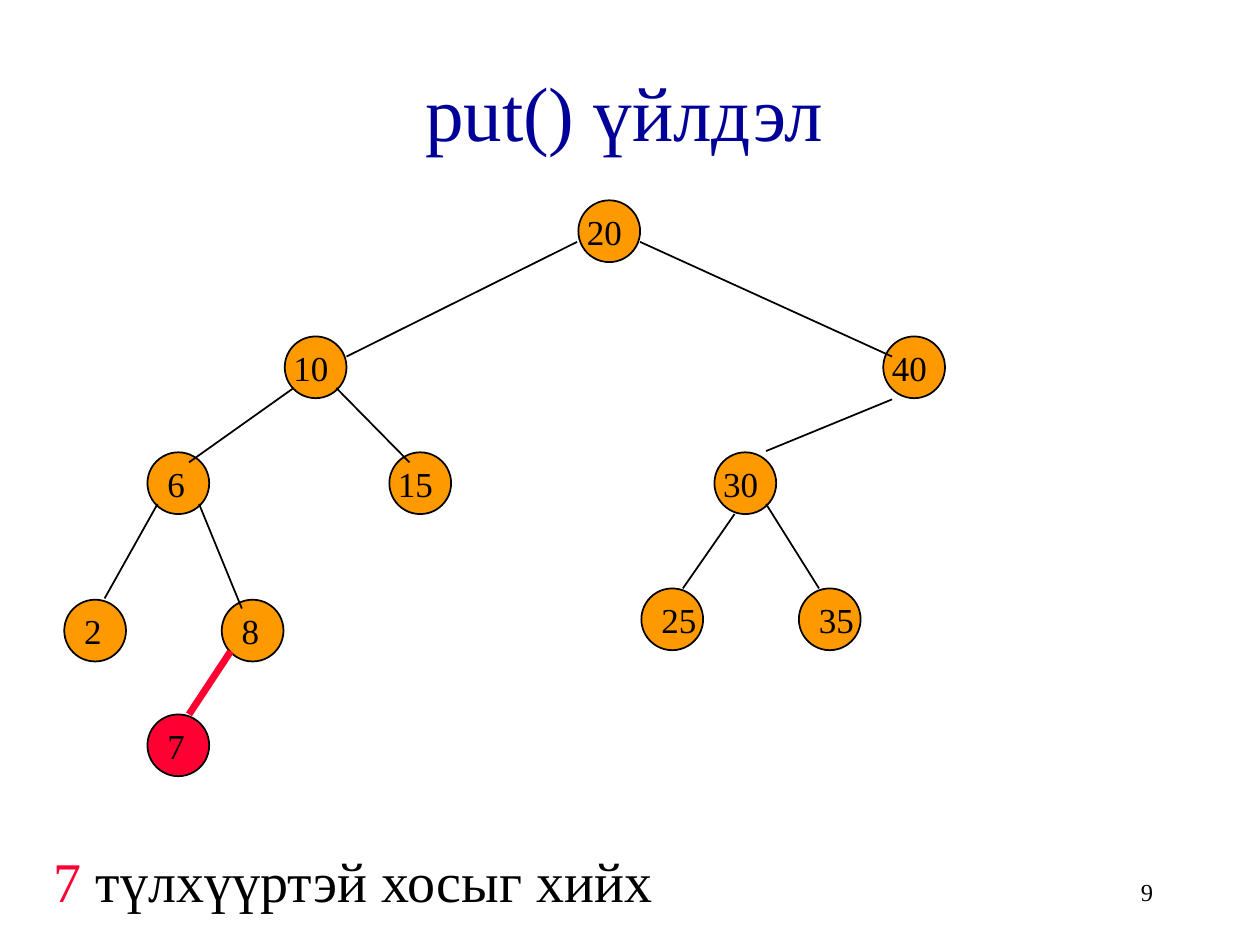
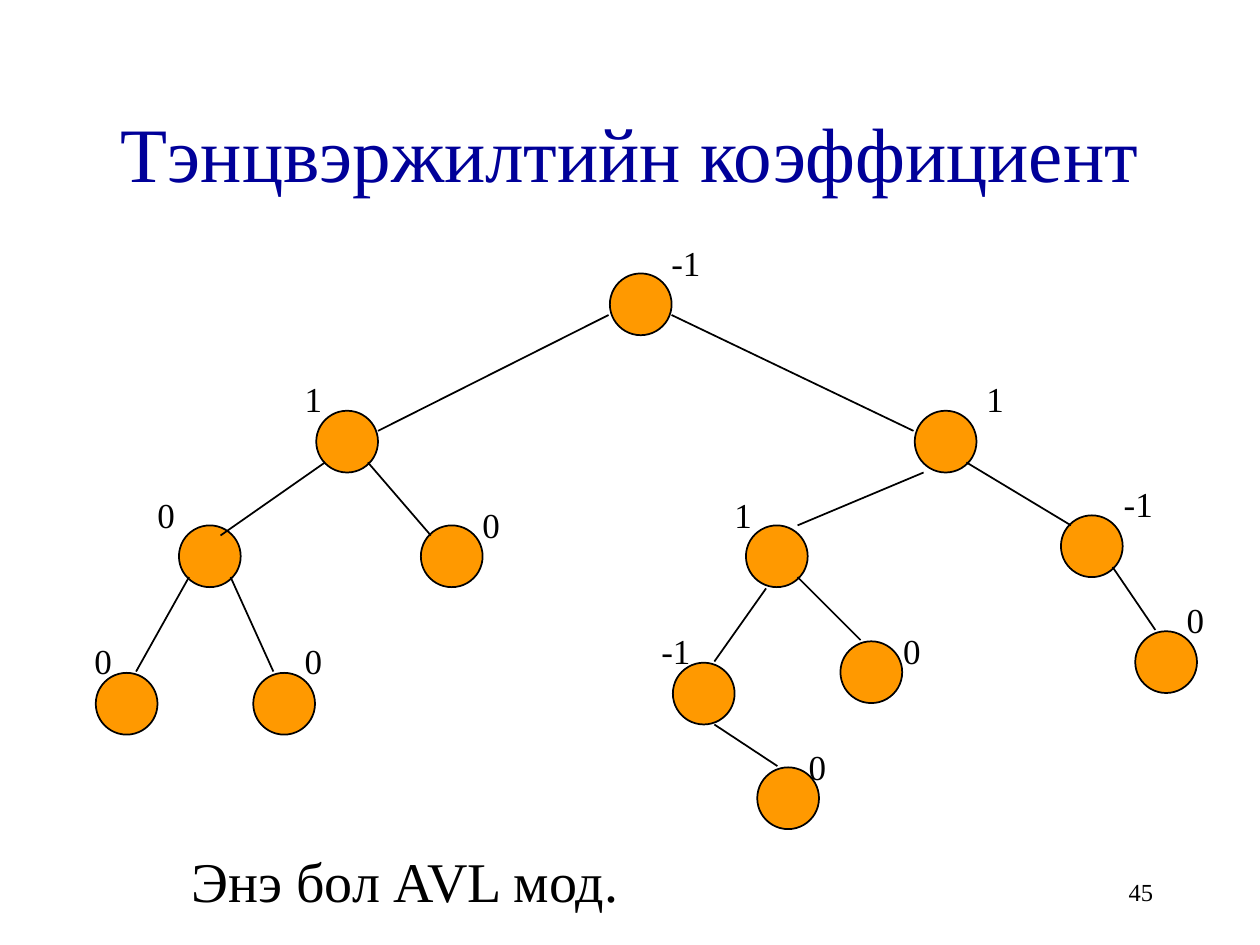
from lxml import etree
from pptx import Presentation
from pptx import util as u
from pptx.dml.color import RGBColor
from pptx.enum import shapes, text
from pptx.oxml.ns import qn

COLORS = {
    "title": "000099",
    "ink": "000000",
    "node": "FF9900",
    "new": "FF0033",
}
FONT = "Times New Roman"
NODE_SIZE = 0.49
LABEL_HEIGHT = 0.43
DIGIT_WIDTH, MINUS_WIDTH, LABEL_PADDING = 0.14, 0.09, 0.2


def rgb(name):
    return RGBColor.from_string(COLORS[name])


def write(frame, spans, size=20, align=text.PP_ALIGN.LEFT,
          anchor=text.MSO_ANCHOR.TOP, wrap=True):
    """Fill a text frame with one paragraph of (text, colour) spans."""
    frame.word_wrap = wrap
    frame.vertical_anchor = anchor
    para = frame.paragraphs[0]
    para.alignment = align
    for content, color in spans:
        span = para.add_run()
        span.text = content
        span.font.name = FONT
        span.font.size = u.Pt(size)
        span.font.color.rgb = rgb(color)


class TreeDeck:
    """Holds the deck, its style and the current page."""

    def __init__(self):
        self.deck = Presentation()
        self.deck.slide_width = u.Inches(10)
        self.deck.slide_height = u.Inches(7.5)
        self.page = None

    def add_page(self, number):
        self.page = self.deck.slides.add_slide(self.deck.slide_layouts[6])
        self.text_box(7.17, 6.83, 2.08, 0.5, [(number, "ink")], size=14,
                      align=text.PP_ALIGN.RIGHT,
                      anchor=text.MSO_ANCHOR.MIDDLE)

    def text_box(self, left, top, width, height, spans, **style):
        box = self.page.shapes.add_textbox(
            *map(u.Inches, (left, top, width, height)))
        write(box.text_frame, spans, **style)

    def title(self, left, top, width, content):
        self.text_box(left, top, width, 1.25, [(content, "title")], size=44,
                      align=text.PP_ALIGN.CENTER,
                      anchor=text.MSO_ANCHOR.MIDDLE)

    def caption(self, left, width, spans):
        self.text_box(left, 6.67, width, 0.63, spans, size=32)

    def node(self, left, top, color="node"):
        circle = self.page.shapes.add_shape(
            shapes.MSO_SHAPE.OVAL,
            *map(u.Inches, (left, top, NODE_SIZE, NODE_SIZE)))
        circle.shadow.inherit = False
        circle.fill.solid()
        circle.fill.fore_color.rgb = rgb(color)
        circle.line.color.rgb = rgb("ink")
        circle.line.width = u.Pt(1)

    def edge(self, x1, y1, x2, y2, color="ink", weight=1):
        line = self.page.shapes.add_connector(
            shapes.MSO_CONNECTOR.STRAIGHT,
            *map(u.Inches, (x1, y1, x2, y2)))
        line.line.color.rgb = rgb(color)
        line.line.width = u.Pt(weight)
        etree.SubElement(line._element.spPr, qn("a:effectLst"))

    def label(self, left, top, content):
        width = LABEL_PADDING + sum(
            MINUS_WIDTH if char == "-" else DIGIT_WIDTH for char in content)
        self.text_box(left, top, width, LABEL_HEIGHT, [(content, "ink")],
                      wrap=False)

    def tree(self, nodes, edges):
        """Draw nodes (left, top, label, label shift x, y), then edges."""
        for left, top, *_ in nodes:
            self.node(left, top)
        for ends in edges:
            self.edge(*ends)
        for left, top, content, dx, dy in nodes:
            self.label(left + dx, top + dy, content)


# Label shifts for keys written inside the nodes
WIDE_KEY = (-0.03, 0.03)
NARROW_KEY = (0.06, 0.03)

SEARCH_NODES = [
    (4.59, 1.59, "20", *WIDE_KEY),
    (2.26, 2.67, "10", *WIDE_KEY),
    (7.01, 2.67, "40", *WIDE_KEY),
    (1.17, 3.59, "6", *NARROW_KEY),
    (3.09, 3.59, "15", *WIDE_KEY),
    (5.67, 3.59, "30", *WIDE_KEY),
    (0.51, 4.76, "2", *NARROW_KEY),
    (1.76, 4.76, "8", *NARROW_KEY),
    (5.09, 4.67, "25", *NARROW_KEY),
    (6.34, 4.67, "35", *NARROW_KEY),
]
SEARCH_EDGES = [
    (4.58, 1.92, 2.75, 2.83), (5.08, 1.92, 7.08, 2.83),
    (2.33, 3.08, 1.5, 3.67), (2.67, 3.08, 3.25, 3.67),
    (7.08, 3.17, 6.08, 3.58),
    (1.25, 4, 0.83, 4.75), (1.58, 4, 1.92, 4.83),
    (5.83, 4.08, 5.42, 4.67), (6.08, 4, 6.5, 4.67),
]

# Balance factors stand beside the nodes
BALANCE_NODES = [
    (4.84, 2.17, "-1", 0.39, -0.3),
    (2.51, 3.26, "1", -0.19, -0.31),
    (7.26, 3.26, "1", 0.47, -0.31),
    (1.42, 4.17, "0", -0.27, -0.3),
    (3.34, 4.17, "0", 0.39, -0.22),
    (5.92, 4.17, "1", -0.19, -0.3),
    (8.42, 4.09, "-1", 0.4, -0.31),
    (0.76, 5.34, "0", -0.11, -0.31),
    (2.01, 5.34, "0", 0.31, -0.31),
    (5.34, 5.26, "-1", -0.19, -0.31),
    (6.67, 5.09, "0", 0.4, -0.14),
    (9.01, 5.01, "0", 0.31, -0.31),
    (6.01, 6.09, "0", 0.31, -0.22),
]
BALANCE_EDGES = [
    (4.83, 2.5, 3, 3.42), (5.33, 2.5, 7.25, 3.42),
    (2.58, 3.67, 1.75, 4.25), (2.92, 3.67, 3.42, 4.25),
    (7.33, 3.75, 6.33, 4.17), (7.67, 3.67, 8.5, 4.17),
    (1.5, 4.58, 1.08, 5.33), (1.83, 4.58, 2.17, 5.33),
    (6.08, 4.67, 5.67, 5.25), (6.33, 4.58, 6.83, 5.08),
    (8.83, 4.5, 9.17, 5), (5.67, 5.75, 6.17, 6.08),
]


def main():
    show = TreeDeck()

    # Inserting a key into the search tree
    show.add_page("9")
    show.title(0.08, 0.25, 9.75, "put() үйлдэл")
    show.tree(SEARCH_NODES, SEARCH_EDGES)
    show.node(1.17, 5.67, color="new")
    show.label(1.23, 5.7, "7")
    show.edge(1.83, 5.17, 1.5, 5.67, color="new", weight=4)
    show.caption(0.33, 9, [("7 ", "new"), ("түлхүүртэй хосыг хийх", "ink")])

    # Balance factors of an AVL tree
    show.add_page("45")
    show.title(0.75, 0.58, 8.5, "Тэнцвэржилтийн коэффициент")
    show.tree(BALANCE_NODES, BALANCE_EDGES)
    show.caption(1.42, 7, [("Энэ бол AVL мод.", "ink")])

    show.deck.save("out.pptx")


if __name__ == "__main__":
    main()
